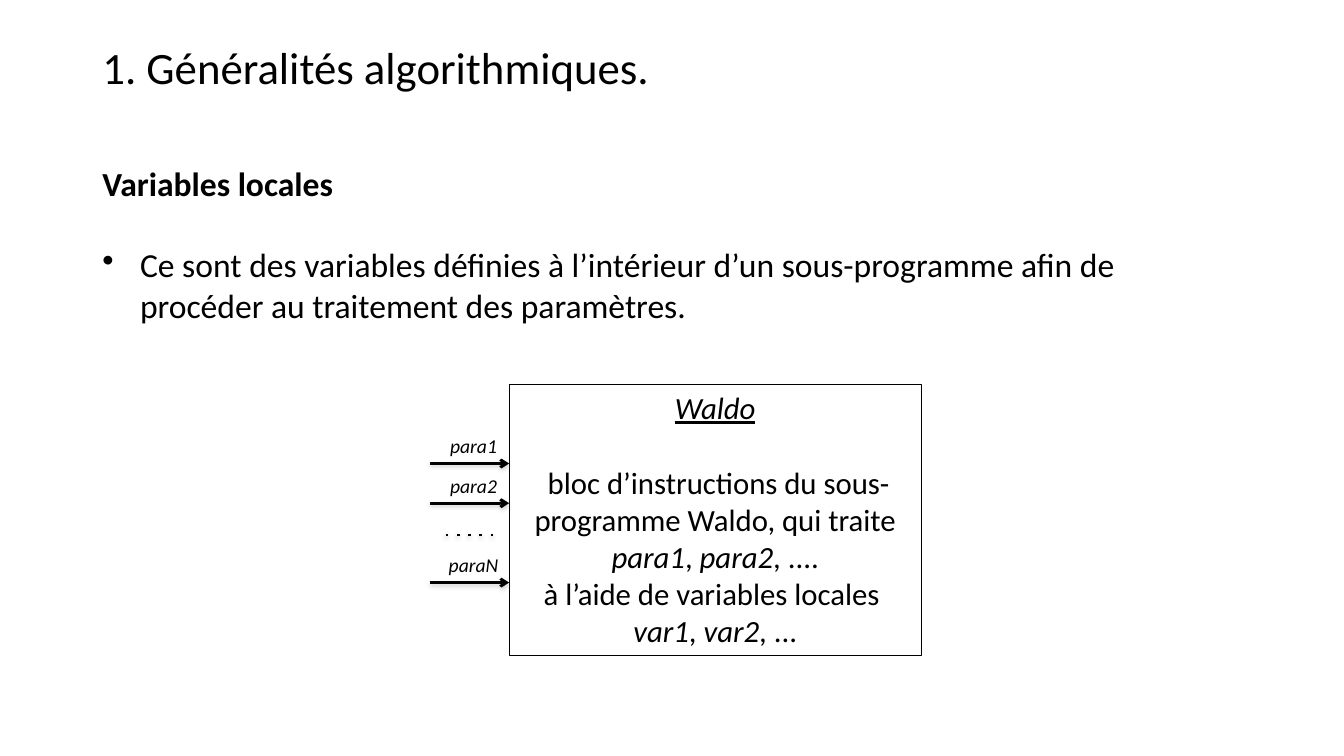
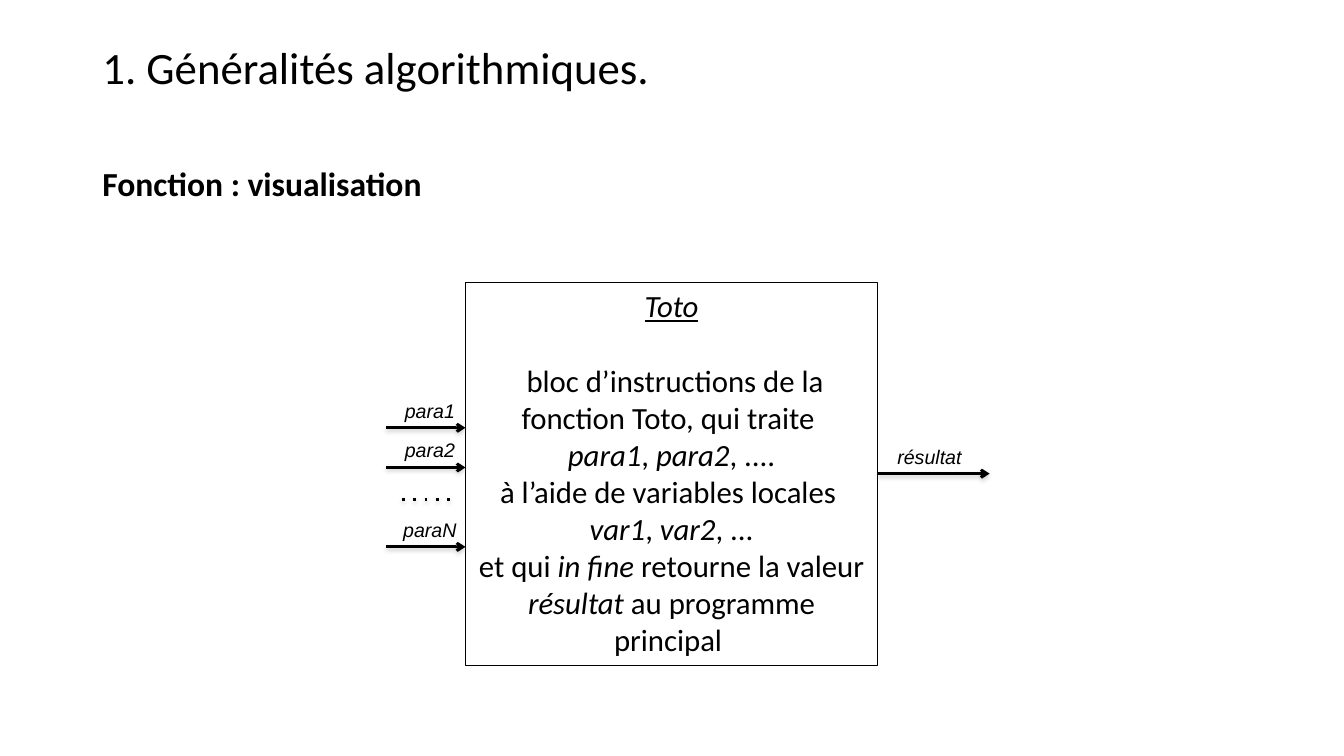
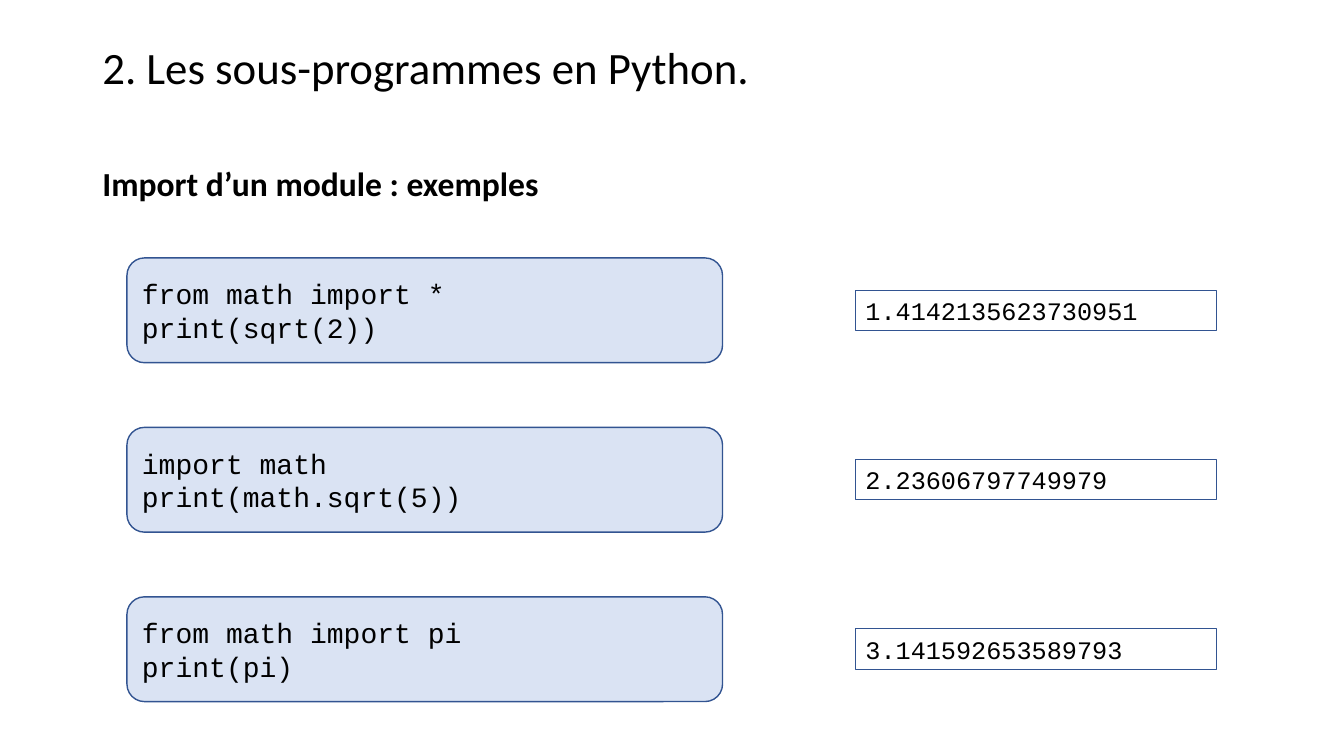
"""Build three slides on subprograms, functions and Python modules."""
from pptx import Presentation
from pptx.dml.color import RGBColor
from pptx.enum.shapes import MSO_CONNECTOR, MSO_SHAPE
from pptx.enum.text import MSO_ANCHOR, PP_ALIGN
from pptx.oxml import parse_xml
from pptx.oxml.ns import nsdecls
from pptx.util import Cm, Pt

BLACK, BLUE, PALE = "000000", "325491", "DAE3F3"
BODY, CODE = "Calibri", "Courier New"
SHADOW = (
    f'<a:effectLst {nsdecls("a")}><a:outerShdw blurRad="39400" dist="20300" dir="5400000">'
    '<a:srgbClr val="808080"><a:alpha val="38000"/></a:srgbClr></a:outerShdw></a:effectLst>'
)
ARROW = f'<a:tailEnd {nsdecls("a")} type="arrow"/>'
DOTS = f'<a:prstDash {nsdecls("a")} val="dot"/>'
BULLET = f'<a:buChar {nsdecls("a")} char="•"/>'


def add_text(s, box, lines, size, font=BODY, align=PP_ALIGN.LEFT, shape=None, fill=None, line=None, width=0.75):
    """Add a text box or shape whose lines mark italics between bars."""
    pos = [Cm(v) for v in box]
    if shape is None:
        sp = s.shapes.add_textbox(*pos)
    else:
        sp = s.shapes.add_shape(shape, *pos)
        sp.shadow.inherit = False
        sp.line.color.rgb = RGBColor.from_string(line)
        sp.line.width = Pt(width)
        if fill:
            sp.fill.solid()
            sp.fill.fore_color.rgb = RGBColor.from_string(fill)
        else:
            sp.fill.background()
    tf = sp.text_frame
    tf.word_wrap = True
    tf.vertical_anchor = MSO_ANCHOR.TOP
    for i, text in enumerate(lines):
        p = tf.add_paragraph() if i else tf.paragraphs[0]
        p.alignment = align
        for j, part in enumerate(text.split("|")):
            if part:
                r = p.add_run()
                r.text = part
                r.font.size = Pt(size)
                r.font.name = font
                r.font.italic = j % 2 == 1
                r.font.color.rgb = RGBColor.from_string(BLACK)
    return sp


def add_line(s, x1, x2, y, end=ARROW):
    """Add a horizontal shadowed line with the given ending or dash."""
    cx = s.shapes.add_connector(MSO_CONNECTOR.STRAIGHT, Cm(x1), Cm(y), Cm(x2), Cm(y))
    cx.line.color.rgb = RGBColor.from_string(BLACK)
    cx.line.width = Pt(2)
    cx.line._get_or_add_ln().append(parse_xml(end))
    cx._element.spPr.append(parse_xml(SHADOW))
    return cx


prs = Presentation()
prs.slide_width, prs.slide_height = Cm(33.87), Cm(19.05)

GENERAL = "1. Généralités algorithmiques."
LOCALS = ["à l’aide de variables locales ", "|var1|, |var2|, ..."]
pages = [
    (GENERAL, ["Variables locales",
               "Ce sont des variables définies à l’intérieur d’un sous-programme "
               "afin de procéder au traitement des paramètres."]),
    (GENERAL, ["Fonction : visualisation"]),
    ("2. Les sous-programmes en Python.", ["Import d’un module : exemples"]),
]
slides = []
for title, body in pages:
    s = prs.slides.add_slide(prs.slide_layouts[6])
    slides.append(s)
    sp = add_text(s, (2.33, 1.02, 29.21, 1.6), [title], 32)
    sp.text_frame.paragraphs[0].line_spacing = 0.9
    sp = add_text(s, (2.33, 3.99, 29.24, 1.27 if len(body) == 1 else 4.37), body, 24)
    heading, *bullets = sp.text_frame.paragraphs
    heading.runs[0].font.bold = True
    for p in bullets:
        p.space_before = Pt(29)
        pPr = p._p.get_or_add_pPr()
        pPr.set("marL", str(Cm(0.95)))
        pPr.set("indent", str(-Cm(0.95)))
        pPr.append(parse_xml(BULLET))

diagrams = [
    (slides[0], 12.83, 9.68, 6.83, 11.68, BODY, False,
     ["|Waldo|", " bloc d’instructions du sous-programme Waldo, qui traite |para1|, |para2|, ....",
      *LOCALS]),
    (slides[1], 11.73, 7.11, 9.65, 10.78, "Arial", True,
     ["|Toto|", " bloc d’instructions de la fonction Toto, qui traite ", "|para1|, |para2|, ....",
      *LOCALS, "et qui |in fine| retourne la valeur |résultat| au programme principal "]),
]
BOX_W, ARROW_W, LABEL_W, LABEL_H = 10.39, 2, 2.21, 0.86
for s, left, top, height, first, font, returns, lines in diagrams:
    sp = add_text(s, (left, top, BOX_W, height), lines, 22,
                  align=PP_ALIGN.CENTER, shape=MSO_SHAPE.RECTANGLE, line=BLACK)
    name = sp.text_frame.paragraphs[0]
    name.runs[0].font.underline = True
    name.space_after = Pt(27)
    start = left - ARROW_W
    labels = [("para1", start, first), ("para2", start, first + 1), ("paraN", start, first + 3)]
    for _, x, y in labels:
        add_line(s, x, left, y)
    add_line(s, start + 0.4, start + 1.6, first + 1.8, DOTS)
    if returns:
        right, middle = left + BOX_W, top + height / 2
        cx = add_line(s, right, right + 2.82, middle)
        cx.begin_connect(sp, 3)
        labels.append(("résultat", right + 0.2, middle))
    for text, x, y in labels:
        add_text(s, (x, y - LABEL_H, LABEL_W, LABEL_H), [f"|{text}|"], 14, font, PP_ALIGN.CENTER)

examples = [
    (["from math import *", "print(sqrt(2))"], "1.4142135623730951"),
    (["import math", "print(math.sqrt(5))"], "2.23606797749979"),
    (["from math import pi", "print(pi)"], "3.141592653589793"),
]
for i, (code, output) in enumerate(examples):
    y = 6.5 + 4.27 * i
    sp = add_text(slides[2], (3.2, y, 15.01, 2.64), code, 20, CODE,
                  shape=MSO_SHAPE.ROUNDED_RECTANGLE, fill=PALE, line=BLUE, width=1)
    sp.text_frame.vertical_anchor = MSO_ANCHOR.MIDDLE
    add_text(slides[2], (21.56, y + 0.81, 9.09, 1.02), [output], 18, CODE,
             shape=MSO_SHAPE.RECTANGLE, line=BLUE)

prs.save("out.pptx")
